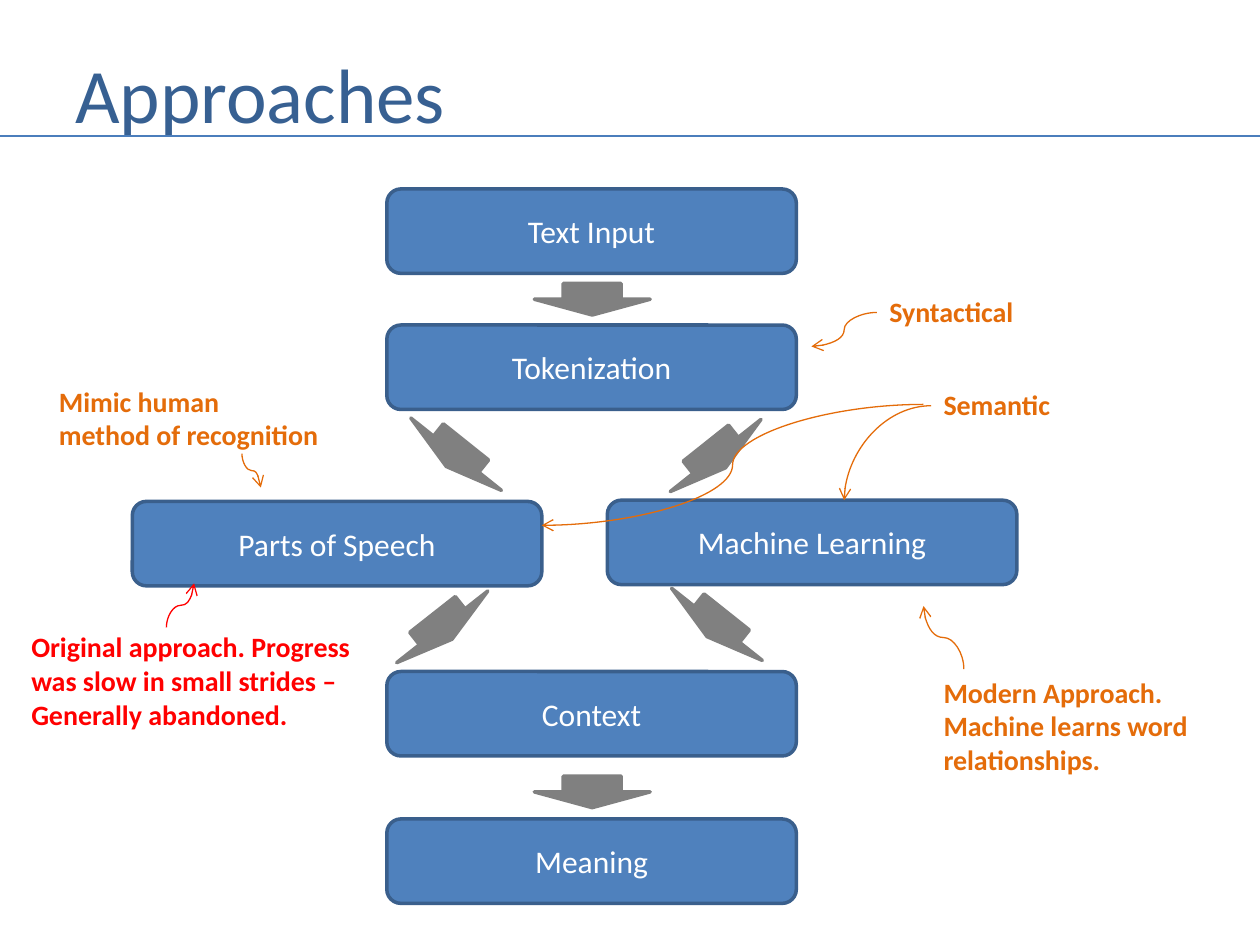
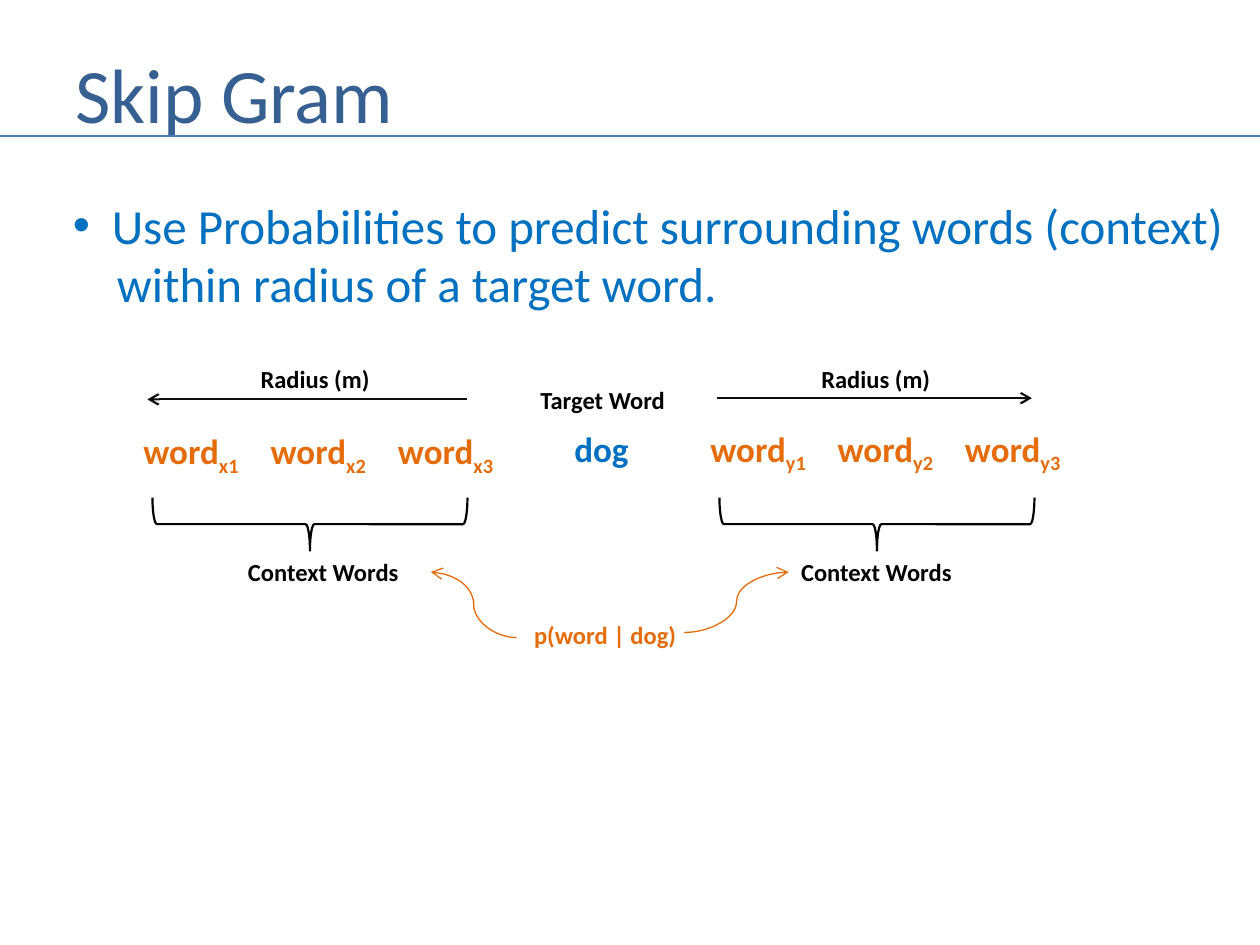
from dataclasses import dataclass

from lxml import etree
from pptx import Presentation
from pptx.dml.color import RGBColor
from pptx.enum.shapes import MSO_CONNECTOR, MSO_SHAPE
from pptx.enum.text import MSO_ANCHOR, PP_ALIGN
from pptx.oxml.ns import qn
from pptx.util import Inches, Pt

STRAIGHT, CURVE = MSO_CONNECTOR.STRAIGHT, MSO_CONNECTOR.CURVE
ROUND_RECT, DOWN_ARROW = MSO_SHAPE.ROUNDED_RECTANGLE, MSO_SHAPE.DOWN_ARROW
BRACE = MSO_SHAPE.RIGHT_BRACE
MIDDLE, TOP = MSO_ANCHOR.MIDDLE, MSO_ANCHOR.TOP
CENTER, LEFT = PP_ALIGN.CENTER, PP_ALIGN.LEFT


@dataclass(frozen=True)
class Theme:
    font: str = "Calibri"
    title: str = "376092"
    rule: str = "4B7EBC"
    box: str = "4F81BD"
    box_edge: str = "3A5F8C"
    arrow: str = "808080"
    note: str = "E46C0A"
    warning: str = "FF0000"
    accent: str = "0070C0"
    ink: str = "000000"
    axis: str = "0D0D0D"
    white: str = "FFFFFF"
    title_size: int = 44
    body_size: int = 28
    word_size: int = 20
    box_size: int = 18
    note_size: int = 16
    label_size: int = 14


T = Theme()


def rgb(color):
    return RGBColor.from_string(color)


def style_font(p, size, color, bold=False):
    p.font.name, p.font.size, p.font.bold = T.font, Pt(size), bold
    p.font.color.rgb = rgb(color)


def add_text(s, box, lines, size, color, bold=False, wrap=False, anchor=TOP):
    """Add a text box with one paragraph per line and return its text frame."""
    tf = s.shapes.add_textbox(*map(Inches, box)).text_frame
    tf.word_wrap, tf.vertical_anchor = wrap, anchor
    for i, line in enumerate(lines):
        p = tf.add_paragraph() if i else tf.paragraphs[0]
        p.text, p.alignment = line, LEFT
        style_font(p, size, color, bold)
    return tf


def add_label(s, box, text, color=T.ink):
    add_text(s, box, [text], T.label_size, color, bold=True)


def add_preset(s, kind, box, line, width, fill=None, rotation=0):
    sp = s.shapes.add_shape(kind, *map(Inches, box))
    sp.shadow.inherit = False
    sp.rotation = rotation
    if fill:
        sp.fill.solid()
        sp.fill.fore_color.rgb = rgb(fill)
    else:
        sp.fill.background()
    sp.line.color.rgb, sp.line.width = rgb(line), Pt(width)
    return sp


def add_line(s, start, end, color, width, kind=STRAIGHT, arrow=True):
    cxn = s.shapes.add_connector(kind, *map(Inches, (*start, *end)))
    cxn.line.color.rgb, cxn.line.width = rgb(color), Pt(width)
    if arrow:
        etree.SubElement(cxn.line._get_or_add_ln(), qn("a:tailEnd"), type="arrow")
    etree.SubElement(cxn._element.spPr, qn("a:effectLst"))
    return cxn


def add_curve(s, start, end, color=T.note):
    """S-curve that leaves its start sideways."""
    return add_line(s, start, end, color, 0.75, CURVE)


def add_upright_curve(s, start, end, color=T.note):
    """S-curve that leaves its start vertically: a sideways one turned by 90 degrees."""
    (x1, y1), (x2, y2) = start, end
    cx, cy = (x1 + x2) / 2, (y1 + y2) / 2
    dx, dy = (x2 - x1) / 2, (y2 - y1) / 2
    cxn = add_curve(s, (cx - dy, cy + dx), (cx + dy, cy - dx), color)
    cxn._element.spPr.find(qn("a:xfrm")).set("rot", "5400000")


def add_bend(s, start, end):
    """Quarter curve that leaves sideways and arrives vertically."""
    cxn = add_curve(s, start, end)
    cxn._element.spPr.find(qn("a:prstGeom")).set("prst", "curvedConnector2")


def new_slide(prs, title, title_width):
    s = prs.slides.add_slide(prs.slide_layouts[6])
    add_text(s, (0.5, 0.3, title_width, 0.87), [title], T.title_size, T.title,
             wrap=True, anchor=MIDDLE)
    add_line(s, (0, 1.08), (10, 1.08), T.rule, 1.5, arrow=False)
    return s


def add_step(s, x, y, text):
    sp = add_preset(s, ROUND_RECT, (x, y, 3.25, 0.67), T.box_edge, 2, T.box)
    tf = sp.text_frame
    tf.word_wrap, tf.vertical_anchor = True, MIDDLE
    p = tf.paragraphs[0]
    p.text, p.alignment = text, CENTER
    style_font(p, T.box_size, T.white)


def add_flow(s, x, y):
    """Steps of the pipeline and the block arrows between them."""
    steps = [(2.02, 0, "Text Input"), (2.02, 1.08, "Tokenization"),
             (0, 2.48, "Parts of Speech"), (3.77, 2.47, "Machine Learning"),
             (2.02, 3.83, "Context"), (2.02, 5, "Meaning")]
    for dx, dy, text in steps:
        add_step(s, x + dx, y + dy, text)
    arrows = [(3.19, 0.75, 0), (2.11, 1.98, 38.6), (4.17, 1.99, 321.5),
              (2, 3.35, 321.8), (4.18, 3.33, 38.5), (3.19, 4.66, 0)]
    for dx, dy, angle in arrows:
        add_preset(s, DOWN_ARROW, (x + dx, y + dy, 0.92, 0.25),
                   T.arrow, 2, T.arrow, angle)


def add_notes(s):
    notes = [
        ((6.96, 2.29, 1.2, 0.37), ["Syntactical"], T.note),
        ((7.39, 3.03, 1.06, 0.37), ["Semantic"], T.note),
        ((0.37, 3, 2.3, 0.64), ["Mimic human", "method of recognition"], T.note),
        ((0.15, 4.95, 2.77, 0.91), ["Original approach. Progress",
                                    "was slow in small strides –",
                                    "Generally abandoned."], T.warning),
        ((7.39, 5.31, 2.17, 0.91), ["Modern Approach.", "Machine learns word",
                                    "relationships."], T.note),
    ]
    for box, lines, color in notes:
        add_text(s, box, lines, T.note_size, color, bold=True)
    add_curve(s, (6.96, 2.48), (6.44, 2.75))
    add_curve(s, (7.33, 3.21), (4.3, 4.17))
    add_bend(s, (7.39, 3.22), (6.7, 3.97))
    add_upright_curve(s, (1.92, 3.6), (2.07, 3.87))
    add_upright_curve(s, (1.32, 4.98), (1.54, 4.63), T.warning)
    add_upright_curve(s, (7.65, 5.31), (7.33, 4.81))


def build_approaches(prs):
    s = new_slide(prs, "Approaches", 6.33)
    add_flow(s, 1.05, 1.5)
    add_notes(s)


def set_indent(p, margin, first=0):
    pPr = p._p.get_or_add_pPr()
    pPr.set("marL", str(Inches(margin)))
    pPr.set("indent", str(Inches(first)))
    return pPr


def add_bullet(s, box, lines):
    """Bulleted first line with an indented second line."""
    tf = add_text(s, box, lines, T.body_size, T.accent, wrap=True)
    head, rest = tf.paragraphs
    pPr = set_indent(head, 0.31, -0.31)
    pPr.insert(0, etree.Element(qn("a:buFont"), typeface="Arial"))
    pPr.insert(1, etree.Element(qn("a:buChar"), char="•"))
    set_indent(rest, 0.35)


def add_words(s, x, y, letter):
    """Three words with subscripts, set apart by tab stops."""
    pitch = 1.01
    tf = add_text(s, (x, y, 3.1, 0.44), [""], T.word_size, T.note, bold=True)
    p = tf.paragraphs[0]
    tabs = etree.Element(qn("a:tabLst"))
    for i in (1, 2):
        etree.SubElement(tabs, qn("a:tab"), pos=str(Inches(pitch * i)), algn="l")
    p._p.get_or_add_pPr().insert(0, tabs)
    for i in (1, 2, 3):
        p.add_run().text = "word" if i == 1 else "\tword"
        r = p.add_run()
        r.text = f"{letter}{i}"
        r.font._element.set("baseline", "-25000")


def add_context(s, x, y, letter, radius_x, label_x, axis):
    """Context words on one side of the target; y is the top of the radius label."""
    add_label(s, (x + radius_x, y, 1.07, 0.34), "Radius (m)")
    (start, end), axis_y, word_y = axis
    add_line(s, (x + start, y + axis_y), (x + end, y + axis_y), T.axis, 1.25)
    add_words(s, x, y + word_y, letter)
    add_preset(s, BRACE, (x + 1.21, y + 0.07, 0.42, 2.5), T.ink, 1.25, rotation=90)
    add_label(s, (x + label_x, y + 1.53, 1.4, 0.34), "Context Words")


def build_skip_gram(prs):
    s = new_slide(prs, "Skip Gram", 8.58)
    add_bullet(s, (0.48, 1.5, 9.44, 1.04),
               ["Use Probabilities to predict surrounding words (context)",
                "within radius of a target word."])
    add_context(s, 1.04, 2.84, "x", 0.93, 0.83, ((2.67, 0.13), 0.33, 0.52))
    add_context(s, 5.54, 2.84, "y", 0.88, 0.72, ((0.15, 2.65), 0.32, 0.5))
    add_label(s, (4.19, 3.01, 1.2, 0.34), "Target Word")
    add_text(s, (4.46, 3.34, 0.64, 0.44), ["dog"], T.word_size, T.accent, bold=True)
    add_label(s, (4.14, 4.87, 1.34, 0.34), "p(word | dog)", T.note)
    add_curve(s, (4.1, 5.06), (3.42, 4.54))
    add_curve(s, (5.43, 5.02), (6.26, 4.54))


def main():
    prs = Presentation()
    prs.slide_width, prs.slide_height = Inches(10), Inches(7.5)
    build_approaches(prs)
    build_skip_gram(prs)
    prs.save("out.pptx")


if __name__ == "__main__":
    main()
